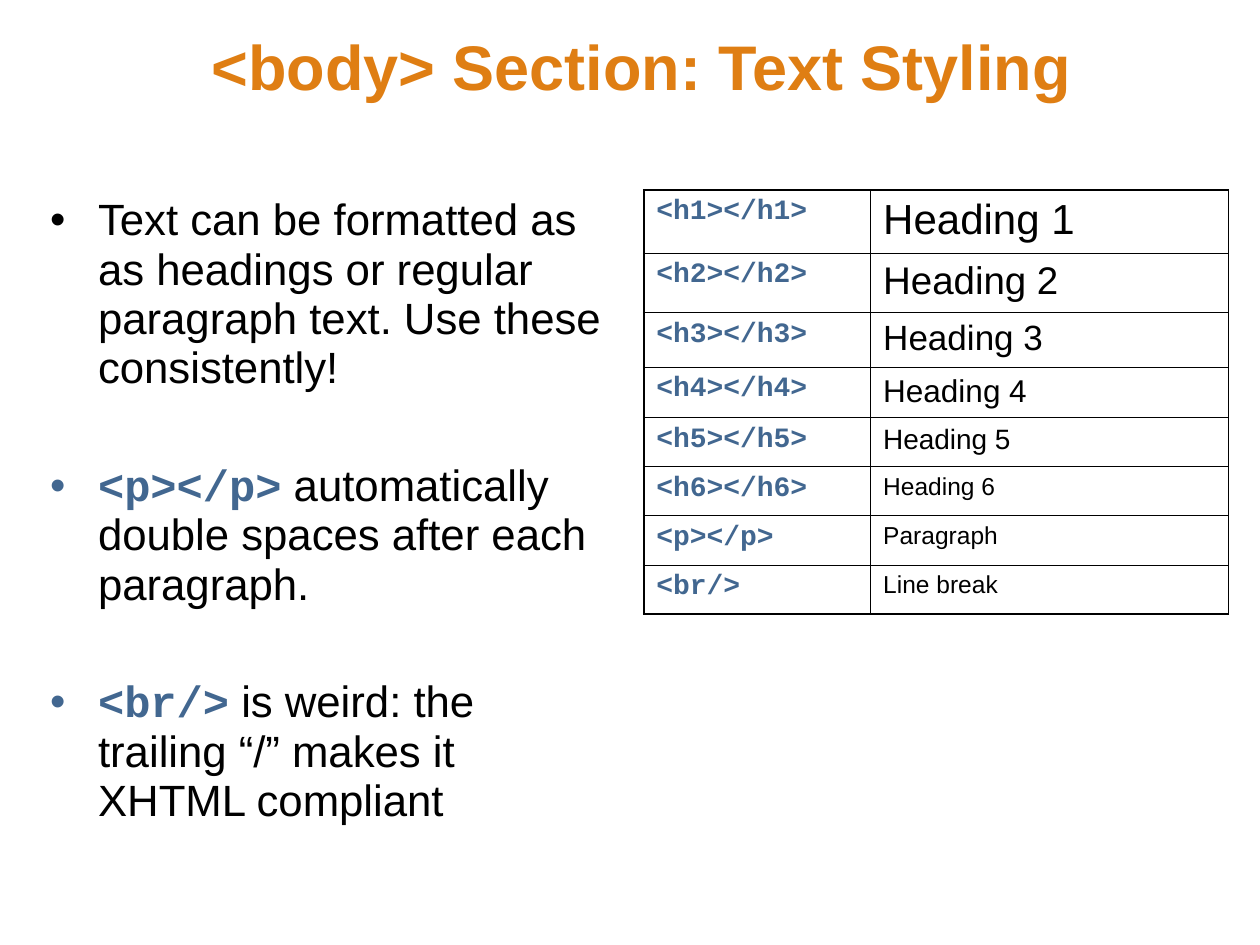
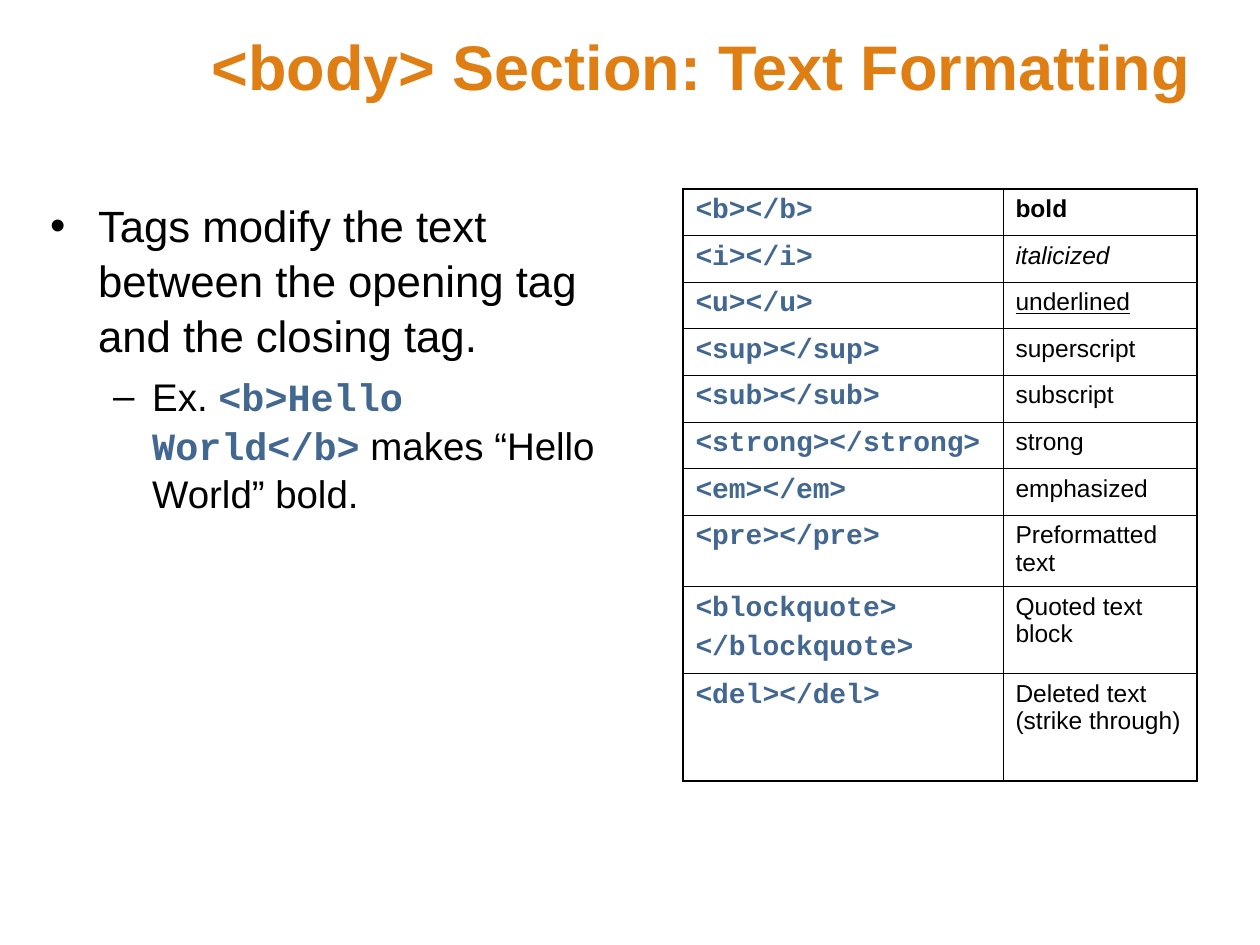
from lxml.etree import SubElement
from pptx import Presentation
from pptx.dml.color import RGBColor
from pptx.enum.text import MSO_ANCHOR as Anchor, PP_ALIGN as Align
from pptx.oxml import parse_xml
from pptx.oxml.ns import nsdecls, qn
from pptx.util import Inches, Pt

ORANGE, BLUE, BLACK = "DF7E13", "426790", "000000"
SANS, MONO = "Arial", "Courier New"
CODE = {"font": MONO, "color": BLUE, "bold": True}
OUTER, INNER = 1.08, 0.45


def rgb(value):
    return RGBColor.from_string(value)


def add_text(para, text, size=14, font=SANS, color=BLACK, bold=False, italic=False, underline=False):
    span = para.add_run()
    span.text = text
    style = span.font
    style.size, style.name = Pt(size), font
    style.bold, style.italic, style.underline = bold, italic, underline
    style.color.rgb = rgb(color)


def add_bullet(para, mark, color, left, hanging):
    props = para._p.get_or_add_pPr()
    props.set("marL", str(Inches(left)))
    props.set("indent", str(-Inches(hanging)))
    tint = SubElement(props, qn("a:buClr"))
    SubElement(tint, qn("a:srgbClr"), val=color)
    SubElement(props, qn("a:buFont"), typeface=SANS)
    SubElement(props, qn("a:buChar"), char=mark)


def set_borders(cell, widths):
    props = cell._tc.get_or_add_tcPr()
    for index, (side, width) in enumerate(zip("LRTB", widths)):
        props.insert(index, parse_xml(
            f'<a:ln{side} {nsdecls("a")} w="{Pt(width)}"><a:solidFill>'
            f'<a:srgbClr val="{BLACK}"/></a:solidFill></a:ln{side}>'))


class TagDeck:
    """Slides that pair bulleted notes with a table of HTML tags."""

    levels = [("•", 25, 0.38, 0.38), ("–", 22, 0.81, 0.31)]

    def __init__(self):
        self.deck = Presentation()
        self.deck.slide_width, self.deck.slide_height = Inches(10), Inches(7.5)
        self.page = None

    def add_page(self, heading):
        self.page = self.deck.slides.add_slide(self.deck.slide_layouts[5])
        title = self.page.shapes.title
        title.left, title.top = Inches(1.58), Inches(0.07)
        title.width, title.height = Inches(8.26), Inches(0.9)
        title.text_frame.vertical_anchor = Anchor.MIDDLE
        para = title.text_frame.paragraphs[0]
        para.alignment = Align.LEFT
        add_text(para, heading, size=36, color=ORANGE, bold=True)

    def add_notes(self, notes, line_spacing, gap):
        box = self.page.shapes.add_textbox(Inches(0.3), Inches(1.51), Inches(4.65), Inches(5.16))
        frame = box.text_frame
        frame.word_wrap = True
        for index, (level, spans) in enumerate(notes):
            para = frame.add_paragraph() if index else frame.paragraphs[0]
            mark, size, left, hanging = self.levels[level]
            para.level = level
            add_bullet(para, mark, spans[0][1].get("color", BLACK), left, hanging)
            para.line_spacing = line_spacing
            para.space_before = Pt(gap if index else 0)
            for text, style in spans:
                add_text(para, text, size=size, **style)

    def add_tag_table(self, left, top, widths, rows):
        table = self.page.shapes.add_table(
            len(rows), 2, Inches(left), Inches(top), Inches(sum(widths)),
            Inches(sum(row[0] for row in rows))).table
        table.first_row = table.horz_banding = False
        for column, width in zip(table.columns, widths):
            column.width = Inches(width)
        for index, (height, tag, effect, style) in enumerate(rows):
            table.rows[index].height = Inches(height)
            above = INNER if index else OUTER
            below = INNER if index < len(rows) - 1 else OUTER
            contents = [(tag, {"size": 16, **CODE}), (effect, style)]
            for column, (text, format_) in enumerate(contents):
                cell = table.cell(index, column)
                self.fill_cell(cell, text, format_)
                sides = (INNER, OUTER) if column else (OUTER, INNER)
                set_borders(cell, (*sides, above, below))

    def fill_cell(self, cell, text, style):
        cell.fill.background()
        cell.margin_left = cell.margin_right = Inches(0.1)
        cell.margin_top = cell.margin_bottom = Inches(0.05)
        frame = cell.text_frame
        for index, line in enumerate(text.split("\n")):
            para = frame.add_paragraph() if index else frame.paragraphs[0]
            para.space_before = Pt(4 if index else 0)
            add_text(para, line, **style)


def main():
    tags = TagDeck()

    tags.add_page("<body> Section: Text Styling")
    tags.add_notes([
        (0, [("Text can be formatted as as headings or regular paragraph text. "
              "Use these consistently!", {})]),
        (0, [("<p></p>", CODE), (" automatically double spaces after each paragraph.", {})]),
        (0, [("<br/>", CODE), (" is weird: the trailing “/” makes it XHTML compliant", {})]),
    ], line_spacing=0.94, gap=39)
    heights = [0.5, 0.47, 0.43, 0.4, 0.39, 0.39]
    headings = [(height, f"<h{rank}></h{rank}>", f"Heading {rank}", {"size": 26 - 2 * rank})
                for rank, height in enumerate(heights, 1)]
    tags.add_tag_table(5.11, 1.51, (1.8, 2.84), headings + [
        (0.39, "<p></p>", "Paragraph", {}),
        (0.39, "<br/>", "Line break", {}),
    ])

    tags.add_page("<body> Section: Text Formatting")
    tags.add_notes([
        (0, [("Tags modify the text between the opening tag and the closing tag.", {})]),
        (1, [("Ex. ", {}), ("<b>Hello World</b>", CODE), (" makes “Hello World” bold.", {})]),
    ], line_spacing=1.05, gap=5.5)
    simple_tags = [
        ("b", "bold", {"bold": True}),
        ("i", "italicized", {"italic": True}),
        ("u", "underlined", {"underline": True}),
        ("sup", "superscript", {}),
        ("sub", "subscript", {}),
        ("strong", "strong", {}),
        ("em", "emphasized", {}),
    ]
    tags.add_tag_table(5.42, 1.5, (2.54, 1.54), [
        (0.37, f"<{name}></{name}>", effect, style) for name, effect, style in simple_tags
    ] + [
        (0.57, "<pre></pre>", "Preformatted text", {}),
        (0.69, "<blockquote>\n</blockquote>", "Quoted text block", {}),
        (0.85, "<del></del>", "Deleted text (strike through)", {}),
    ])

    tags.deck.save("out.pptx")


if __name__ == "__main__":
    main()
